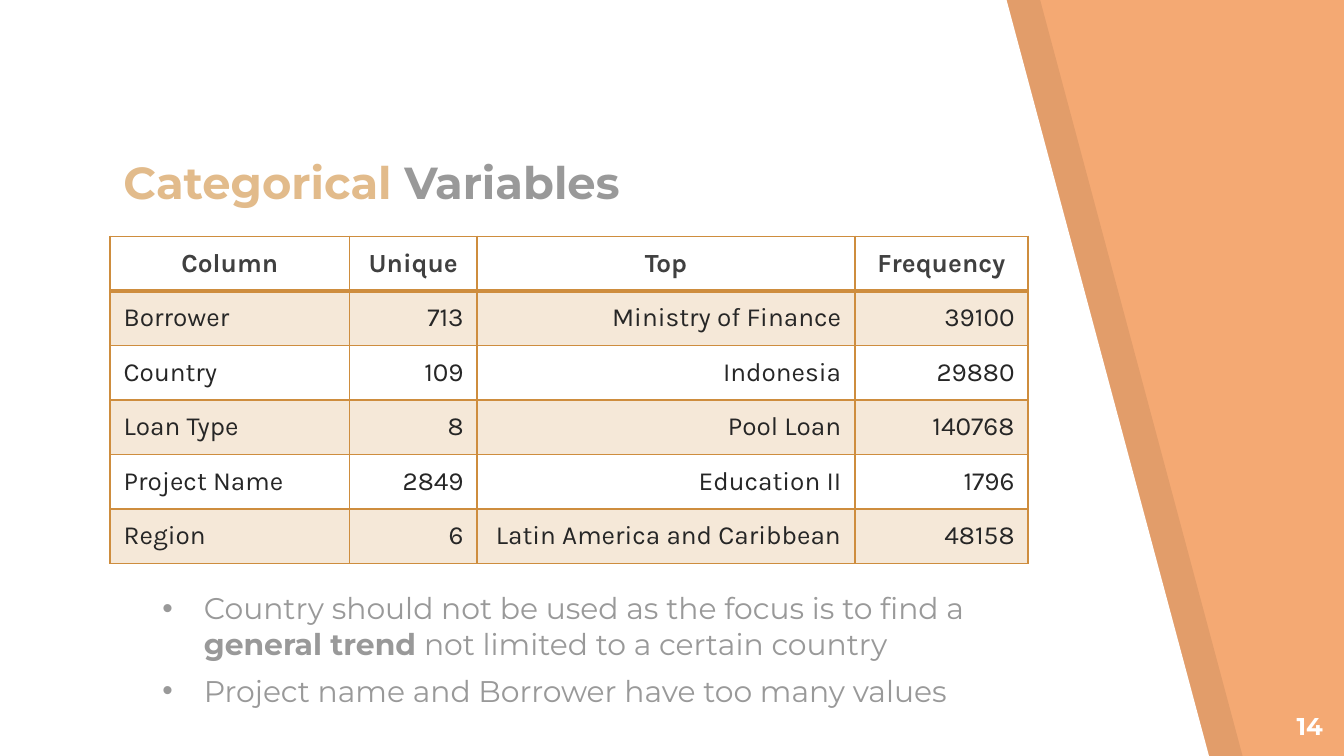
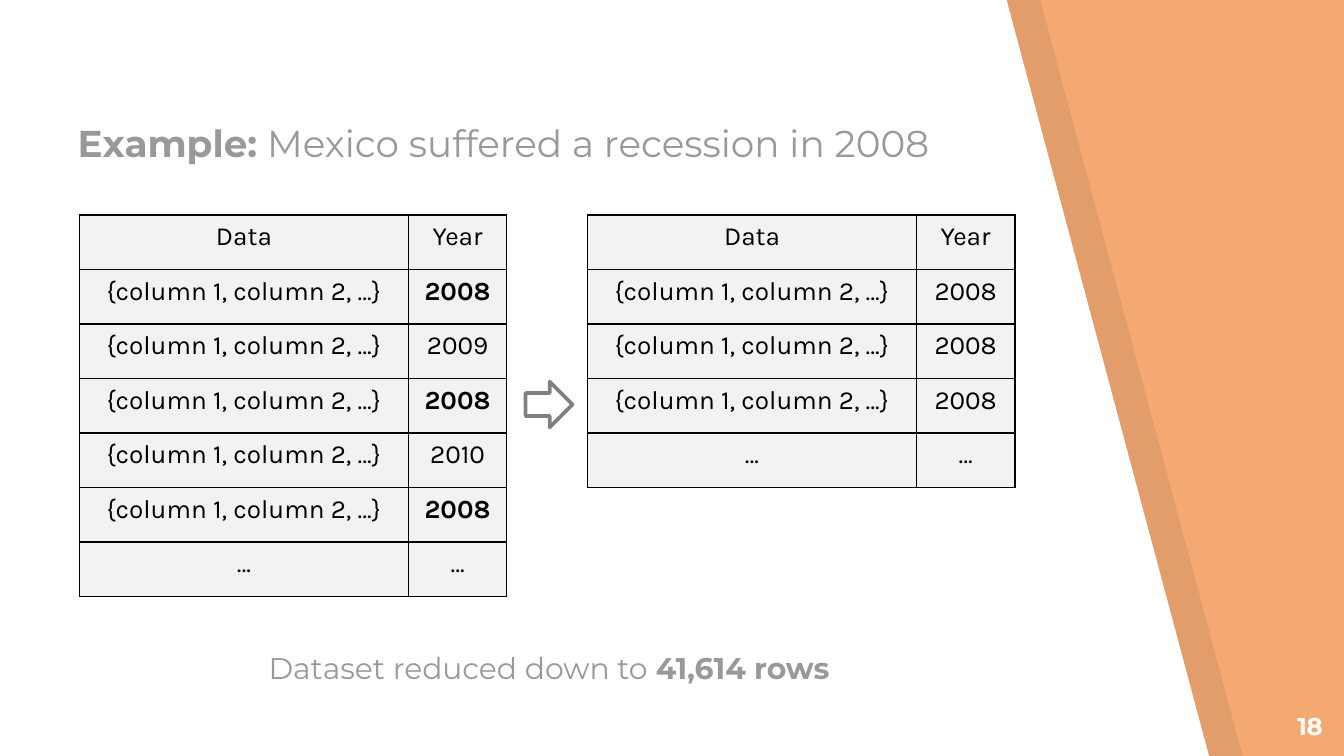
from dataclasses import dataclass
from typing import NamedTuple, Optional

from lxml.etree import SubElement
from pptx import Presentation
from pptx.dml.color import RGBColor
from pptx.enum.shapes import MSO_SHAPE as Shape
from pptx.enum.text import MSO_ANCHOR as Anchor, PP_ALIGN as Align
from pptx.oxml.ns import qn
from pptx.util import Inches, Pt

ORANGE = RGBColor(0xF4, 0xA9, 0x73)
OCHRE = RGBColor(0xCE, 0x8D, 0x3E)
SAND = RGBColor(0xE2, 0xBB, 0x8B)
WHITE = RGBColor(0xFF, 0xFF, 0xFF)
BLACK = RGBColor(0x00, 0x00, 0x00)
CHARCOAL = RGBColor(0x26, 0x26, 0x26)
HEADER_GRAY = RGBColor(0x40, 0x40, 0x40)
ARROW_GRAY = RGBColor(0x80, 0x80, 0x80)
TEXT_GRAY = RGBColor(0x99, 0x99, 0x99)
CELL_GRAY = RGBColor(0xF2, 0xF2, 0xF2)

HEADING_FONT = "Montserrat"
TABLE_FONT = "Karla"
SLIDE_WIDTH = Inches(10)
SLIDE_HEIGHT = SLIDE_WIDTH * 9 // 16
ROW_HEIGHT = Inches(2.84) // 7
COLUMNS_TEXT = "{column 1, column 2, …}"


class Span(NamedTuple):
    text: str
    bold: bool = False
    color: RGBColor = TEXT_GRAY


@dataclass
class Cell:
    text: str
    align: Align = Align.CENTER
    bold: bool = False
    color: RGBColor = BLACK
    fill: Optional[RGBColor] = CELL_GRAY
    opacity: int = 100
    anchor: Anchor = Anchor.TOP
    bottom_line: int = 1


@dataclass
class TextBlock:
    left: float
    top: float
    width: float
    height: float
    size: int
    paragraphs: list[list[Span]]
    anchor: Anchor = Anchor.BOTTOM
    align: Align = Align.LEFT
    bulleted: bool = False


def set_opacity(properties, percent: int) -> None:
    """Make the solid fill held by these XML properties see-through."""
    color = properties.find(qn("a:solidFill"))[0]
    SubElement(color, qn("a:alpha"), val=str(percent * 1000))


def add_band(slide, offset: float, color: RGBColor, opacity: int = 100) -> None:
    """Draw the page area with its slanted right edge, moved right by offset."""
    corners = [(0, -0.01), (0, 5.64), (9, 5.64), (7.49, 0)]
    points = [(Inches(x + offset), Inches(y)) for x, y in corners]
    builder = slide.shapes.build_freeform(*points[0])
    builder.add_line_segments(points[1:])
    band = builder.convert_to_shape()
    band.shadow.inherit = False
    band.line.fill.background()
    band.fill.solid()
    band.fill.fore_color.rgb = color
    if opacity < 100:
        set_opacity(band.element.spPr, opacity)


def add_bullet(para) -> None:
    properties = para._p.get_or_add_pPr()
    properties.set("marL", str(Inches(0.31)))
    properties.set("indent", str(Inches(-0.31)))
    color = SubElement(properties, qn("a:buClr"))
    SubElement(color, qn("a:srgbClr"), val=str(TEXT_GRAY))
    SubElement(properties, qn("a:buFont"), typeface="Arial")
    SubElement(properties, qn("a:buChar"), char="•")
    para.space_after = Pt(6)


def add_text(slide, block: TextBlock) -> None:
    box = slide.shapes.add_textbox(
        Inches(block.left), Inches(block.top), Inches(block.width), Inches(block.height)
    )
    frame = box.text_frame
    frame.word_wrap = True
    frame.vertical_anchor = block.anchor
    frame.margin_left = frame.margin_right = Inches(0.1)
    frame.margin_top = frame.margin_bottom = Inches(0.1)
    for index, spans in enumerate(block.paragraphs):
        para = frame.add_paragraph() if index else frame.paragraphs[0]
        para.alignment = block.align
        if block.bulleted:
            add_bullet(para)
        para.font.name = HEADING_FONT
        para.font.size = Pt(block.size)
        for span in spans:
            run = para.add_run()
            run.text = span.text
            run.font.bold = span.bold
            run.font.color.rgb = span.color


def add_page(deck, number: int):
    page = deck.slides.add_slide(deck.slide_layouts[6])
    add_band(page, 0.25, BLACK, opacity=7)
    add_band(page, 0, WHITE)
    label = [[Span(str(number), True, WHITE)]]
    add_text(page, TextBlock(9.34, 5.19, 0.6, 0.43, 13, label, Anchor.TOP, Align.RIGHT))
    return page


def format_cell(target, cell: Cell, line_color: RGBColor) -> None:
    properties = target._tc.get_or_add_tcPr()
    for side in ("lnL", "lnR", "lnT", "lnB"):
        points = cell.bottom_line if side == "lnB" else 1
        line = SubElement(properties, qn(f"a:{side}"), w=str(Pt(points)))
        fill = SubElement(line, qn("a:solidFill"))
        SubElement(fill, qn("a:srgbClr"), val=str(line_color))
    if cell.fill is None:
        target.fill.background()
    else:
        target.fill.solid()
        target.fill.fore_color.rgb = cell.fill
        if cell.opacity < 100:
            set_opacity(properties, cell.opacity)
    target.vertical_anchor = cell.anchor
    target.text = cell.text
    para = target.text_frame.paragraphs[0]
    para.alignment = cell.align
    para.font.name = TABLE_FONT
    para.font.size = Pt(14)
    para.font.bold = cell.bold
    para.font.color.rgb = cell.color


def add_grid(slide, left: float, top: float, widths: list[float],
             rows: list[list[Cell]], line_color: RGBColor) -> None:
    table = slide.shapes.add_table(
        len(rows), len(widths), Inches(left), Inches(top),
        Inches(sum(widths)), ROW_HEIGHT * len(rows),
    ).table
    table.first_row = table.horz_banding = False
    for column, width in zip(table.columns, widths):
        column.width = Inches(width)
    for row_index, row in enumerate(rows):
        table.rows[row_index].height = ROW_HEIGHT
        for column_index, cell in enumerate(row):
            format_cell(table.cell(row_index, column_index), cell, line_color)


def category_rows() -> list[list[Cell]]:
    headers = ["Column", "Unique", "Top", "Frequency"]
    records = [
        ("Borrower", "713", "Ministry of Finance", "39100"),
        ("Country", "109", "Indonesia", "29880"),
        ("Loan Type", "8", "Pool Loan", "140768"),
        ("Project Name", "2849", "Education II", "1796"),
        ("Region", "6", "Latin America and Caribbean", "48158"),
    ]
    rows = [[
        Cell(text, bold=True, color=HEADER_GRAY, fill=None,
             anchor=Anchor.MIDDLE, bottom_line=2)
        for text in headers
    ]]
    for index, record in enumerate(records):
        fill = None if index % 2 else OCHRE
        rows.append([
            Cell(text, Align.RIGHT if column else Align.LEFT, color=CHARCOAL,
                 fill=fill, opacity=20, anchor=Anchor.MIDDLE)
            for column, text in enumerate(record)
        ])
    return rows


def year_rows(years: list[str], highlight: str = "") -> list[list[Cell]]:
    """List one data row per year, with the highlighted year in bold."""
    rows = [[Cell("Data"), Cell("Year")]]
    rows += [[Cell(COLUMNS_TEXT), Cell(year, bold=year == highlight)] for year in years]
    return rows + [[Cell("…"), Cell("…")]]


def build_categories(deck) -> None:
    page = add_page(deck, 14)
    add_grid(page, 0.82, 1.76, [1.78, 0.95, 2.81, 1.29], category_rows(), OCHRE)
    title = [[Span("Categorical", True, SAND), Span(" Variables", True)]]
    add_text(page, TextBlock(0.82, 1.01, 6.44, 0.64, 24, title))
    findings = [
        [
            Span("Country should not be used as the focus is to find a "),
            Span("general trend", True),
            Span(" not limited to a certain country"),
        ],
        [Span("Project name and Borrower have too many values")],
    ]
    add_text(page, TextBlock(1.11, 4.29, 6.44, 1.3, 16, findings, Anchor.TOP, bulleted=True))


def build_example(deck) -> None:
    page = add_page(deck, 18)
    before = year_rows(["2008", "2009", "2008", "2010", "2008"], highlight="2008")
    after = year_rows(["2008"] * 3)
    for left, rows in ((0.59, before), (4.37, after)):
        add_grid(page, left, 1.6, [2.45, 0.73], rows, BLACK)

    arrow = page.shapes.add_shape(
        Shape.RIGHT_ARROW, Inches(3.91), Inches(2.84), Inches(0.35), Inches(0.34)
    )
    arrow.shadow.inherit = False
    arrow.fill.background()
    arrow.line.color.rgb = ARROW_GRAY
    arrow.line.width = Pt(2)

    title = [[Span("Example:", True), Span(" Mexico suffered a recession in 2008")]]
    add_text(page, TextBlock(0.48, 0.69, 6.79, 0.64, 20, title))
    result = [[Span("Dataset reduced down to "), Span("41,614 rows", True)]]
    add_text(page, TextBlock(1.9, 4.56, 6.81, 0.64, 16, result))


def main() -> None:
    deck = Presentation()
    deck.slide_width = SLIDE_WIDTH
    deck.slide_height = SLIDE_HEIGHT
    background = deck.slide_master.background.fill
    background.solid()
    background.fore_color.rgb = ORANGE
    build_categories(deck)
    build_example(deck)
    deck.save("out.pptx")


if __name__ == "__main__":
    main()
